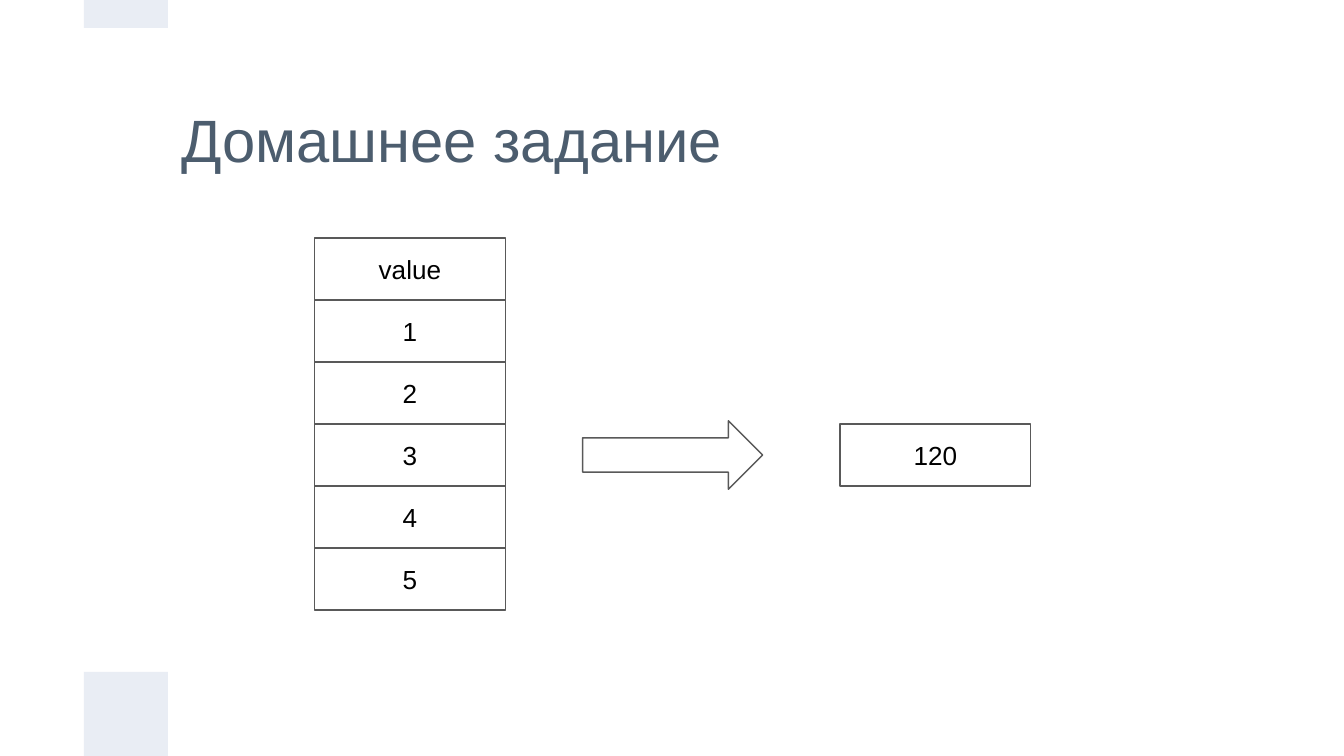
from pptx import Presentation
from pptx.dml.color import RGBColor
from pptx.enum.shapes import MSO_SHAPE
from pptx.enum.text import MSO_ANCHOR, PP_ALIGN
from pptx.util import Inches, Pt

# Content
TITLE = "Домашнее задание"
COLUMN = ["value", "1", "2", "3", "4", "5"]
RESULT = "120"
RESULT_ROW = COLUMN.index("3")  # the result stands level with this row

COLORS = {"title": "4C5D6E", "accent": "E9EDF4", "line": "595959", "text": "000000"}
FONT = "Arial"

# Layout in inches
SLIDE_WIDTH = 10
SLIDE_HEIGHT = SLIDE_WIDTH * 9 / 16
UNIT = SLIDE_WIDTH / 16
COLUMN_LEFT, COLUMN_TOP, COLUMN_BOTTOM = 2.34, 1.77, 4.54
RESULT_LEFT = 6.25
CELL_WIDTH = 1.42
CELL_HEIGHT = (COLUMN_BOTTOM - COLUMN_TOP) / len(COLUMN)
ARROW_WIDTH, ARROW_HEIGHT = 1.34, 0.51
ACCENTS = [(UNIT, SLIDE_HEIGHT - UNIT, UNIT, UNIT), (UNIT, 0, UNIT, UNIT / 3)]

prs = Presentation()
prs.slide_width, prs.slide_height = Inches(SLIDE_WIDTH), Inches(SLIDE_HEIGHT)
slide = prs.slides.add_slide(prs.slide_layouts[6])


def color(name):
    return RGBColor.from_string(COLORS[name])


def write(shape, text, size, color_name, align):
    frame = shape.text_frame
    frame.word_wrap = True
    frame.vertical_anchor = MSO_ANCHOR.MIDDLE
    frame.margin_left = frame.margin_right = Inches(0.1)
    frame.margin_top = frame.margin_bottom = Inches(0.1)
    paragraph = frame.paragraphs[0]
    paragraph.alignment = align
    run = paragraph.add_run()
    run.text = text
    run.font.name = FONT
    run.font.size = Pt(size)
    run.font.color.rgb = color(color_name)


def add_outlined(kind, left, top, width, height):
    shape = slide.shapes.add_shape(kind, *map(Inches, (left, top, width, height)))
    shape.shadow.inherit = False
    shape.fill.background()
    shape.line.color.rgb = color("line")
    shape.line.width = Pt(0.75)
    return shape


def add_cell(text, left, row):
    top = COLUMN_TOP + row * CELL_HEIGHT
    cell = add_outlined(MSO_SHAPE.RECTANGLE, left, top, CELL_WIDTH, CELL_HEIGHT)
    write(cell, text, 14, "text", PP_ALIGN.CENTER)


# Title
title = slide.shapes.add_textbox(*map(Inches, (2 * UNIT, 0.62, 12 * UNIT, 0.82)))
write(title, TITLE, 32, "title", PP_ALIGN.LEFT)

# Accent blocks at the slide edges
for box in ACCENTS:
    accent = slide.shapes.add_shape(MSO_SHAPE.RECTANGLE, *map(Inches, box))
    accent.shadow.inherit = False
    accent.fill.solid()
    accent.fill.fore_color.rgb = color("accent")
    accent.line.fill.background()

# Column of values
for row, value in enumerate(COLUMN):
    add_cell(value, COLUMN_LEFT, row)

# Arrow centred between the column and the result
arrow_center = (COLUMN_LEFT + CELL_WIDTH + RESULT_LEFT) / 2
row_center = COLUMN_TOP + (RESULT_ROW + 0.5) * CELL_HEIGHT
add_outlined(MSO_SHAPE.RIGHT_ARROW, arrow_center - ARROW_WIDTH / 2,
             row_center - ARROW_HEIGHT / 2, ARROW_WIDTH, ARROW_HEIGHT)

# Result
add_cell(RESULT, RESULT_LEFT, RESULT_ROW)

prs.save("out.pptx")
